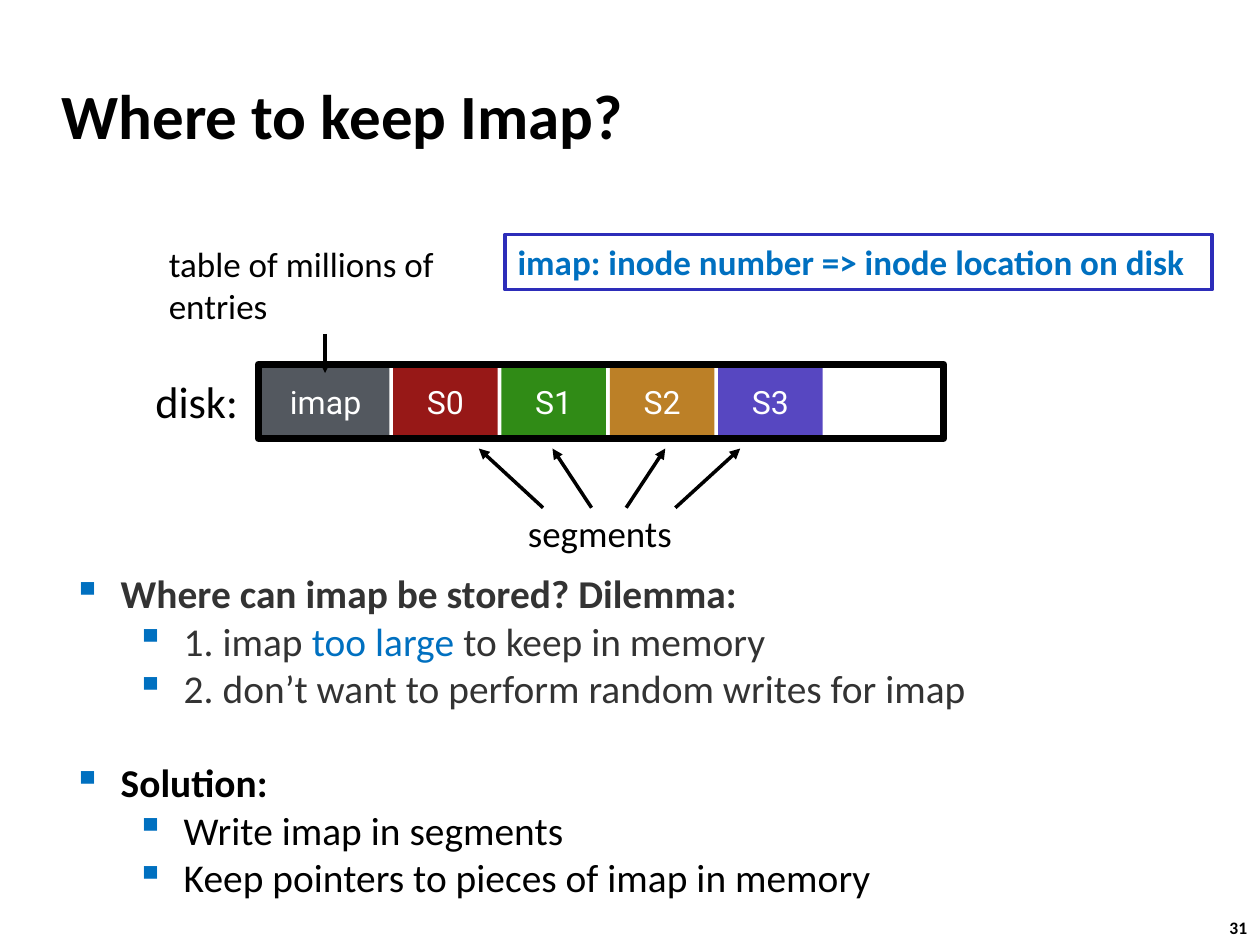
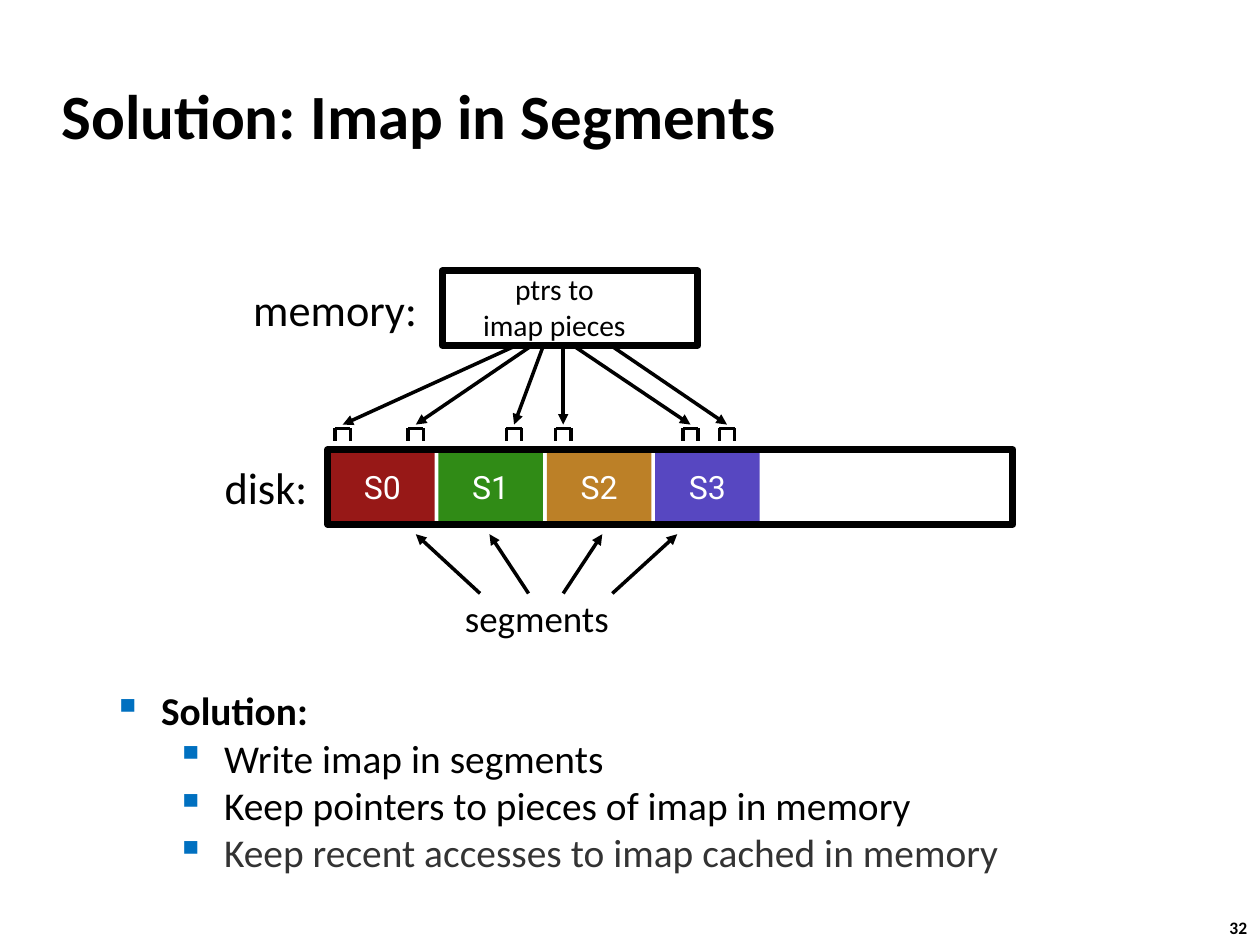
from lxml.etree import SubElement
from pptx import Presentation
from pptx.dml.color import RGBColor
from pptx.enum.shapes import MSO_CONNECTOR, MSO_SHAPE
from pptx.enum.text import MSO_ANCHOR, MSO_AUTO_SIZE, PP_ALIGN
from pptx.oxml.ns import qn
from pptx.util import Inches, Pt

rgb = RGBColor.from_string
BLACK, WHITE, GREY, BLUE, NAVY = "000000", "FFFFFF", "333333", "0070C0", "2D2DB9"
LEFT, CENTER, RIGHT = PP_ALIGN.LEFT, PP_ALIGN.CENTER, PP_ALIGN.RIGHT
TOP, MIDDLE = MSO_ANCHOR.TOP, MSO_ANCHOR.MIDDLE

deck = Presentation()
deck.slide_width, deck.slide_height = Inches(10), Inches(7.5)
# The grid has 100 columns and 75 rows of square cells
CELL = deck.slide_width // 100


def add_box(slide, at, paragraphs=(), size=18, font="Calibri", align=LEFT, anchor=MIDDLE,
            inset=0.4, wrap=False, fill=None, outline=None, weight=2):
    """Place a rectangle; each paragraph is a list of (text, colour, bold) runs."""
    place = [round(length * CELL) for length in at]
    if fill or outline:
        box = slide.shapes.add_shape(MSO_SHAPE.RECTANGLE, *place)
        box.shadow.inherit = False
        if fill:
            box.fill.solid()
            box.fill.fore_color.rgb = rgb(fill)
        else:
            box.fill.background()
        if outline:
            box.line.color.rgb = rgb(outline)
            box.line.width = Pt(weight)
        else:
            box.line.fill.background()
    else:
        box = slide.shapes.add_textbox(*place)
    frame = box.text_frame
    frame.word_wrap = wrap
    frame.auto_size = MSO_AUTO_SIZE.NONE if wrap else MSO_AUTO_SIZE.SHAPE_TO_FIT_TEXT
    frame.vertical_anchor = anchor
    frame.margin_left = frame.margin_right = round(inset * CELL)
    frame.margin_top = frame.margin_bottom = round(min(inset, 0.5) * CELL)
    for number, runs in enumerate(paragraphs):
        paragraph = frame.add_paragraph() if number else frame.paragraphs[0]
        paragraph.alignment = align
        for text, colour, bold in runs:
            run = paragraph.add_run()
            run.text = text
            run.font.name, run.font.size, run.font.bold = font, Pt(size), bold
            run.font.color.rgb = rgb(colour)
    return box


def add_line(slide, x1, y1, x2, y2, arrow=True):
    ends = [round(length * CELL) for length in (x1, y1, x2, y2)]
    line = slide.shapes.add_connector(MSO_CONNECTOR.STRAIGHT, *ends)
    line.line.color.rgb = rgb(BLACK)
    line.line.width = Pt(2)
    if arrow:
        SubElement(line.line._get_or_add_ln(), qn("a:tailEnd"), type="triangle")
    SubElement(line._element.spPr, qn("a:effectLst"))


# What differs: title, page, disk frame, first segment, outline place and items
solution = [
    (0, [("Solution:", BLACK, True)]),
    (1, [("Write imap in segments", BLACK, False)]),
    (1, [("Keep pointers to pieces of imap in memory", BLACK, False)]),
]
dilemma = [
    (0, [("Where can imap be stored? Dilemma:", GREY, True)]),
    (1, [("1. imap ", GREY, False), ("too large ", BLUE, False),
         ("to keep in memory", GREY, False)]),
    (1, [("2. don’t want to perform random writes for imap", GREY, False)]),
]
caching = [(1, [("Keep recent accesses to imap cached in memory", GREY, False)])]
pages = [
    ("Where to keep Imap?", "31", 20.5, 31.2, 28.9,
     (4.8, 44.7, 91.5, 27.5), dilemma + solution),
    ("Solution: Imap in Segments", "32", 26, 26.2, 35.7,
     (8, 54, 79.6, 16.2), solution + caching),
]
segments = [("S0", "971817"), ("S1", "308B16"), ("S2", "BC8027"), ("S3", "5747C1")]
SEGMENT_PITCH, SEGMENT_WIDTH, DISK_HEIGHT = 8.6, 8.3, 5.9
# Segment arrows: start and tip, counted from the first segment
segment_arrows = [(11.9, 6.8), (15.75, 12.65), (18.5, 21.6), (22.4, 27.55)]

slides = []
for title, page, disk_x, first_x, disk_y, outline_at, items in pages:
    slide = deck.slides.add_slide(deck.slide_layouts[6])
    slides.append(slide)

    # Title and page number
    add_box(slide, (3.9, 4.9, 83, 8.3), [[(title, BLACK, True)]], 36, inset=1, wrap=True)
    add_box(slide, (96.6, 72.3, 3.7, 2.7), [[(page, BLACK, True)]], 10, anchor=TOP, inset=1)

    # Disk with its segments
    for number, (name, colour) in enumerate(segments):
        add_box(slide, (first_x + number * SEGMENT_PITCH, disk_y, SEGMENT_WIDTH, DISK_HEIGHT),
                [[(name, WHITE, False)]], 18.3, "Roboto", CENTER, inset=0, wrap=True,
                fill=colour)
    if slide is slides[0]:
        add_box(slide, (20.8, disk_y, 10.1, DISK_HEIGHT), [[("imap", WHITE, False)]],
                18.3, "Roboto", CENTER, inset=0, wrap=True, fill="53585F")
    add_box(slide, (disk_x, disk_y, 54.4, DISK_HEIGHT), wrap=True, outline=BLACK, weight=4)
    add_box(slide, (disk_x - 8.8, disk_y + 0.4, 7.6, 5), [[("disk:", BLACK, False)]],
            25.3, align=RIGHT)

    # Segments label and arrows
    add_box(slide, (first_x + 10.3, disk_y + 11.2, 12.3, 4.3),
            [[("segments", BLACK, False)]], 21.1)
    for start, tip in segment_arrows:
        add_line(slide, first_x + start, disk_y + 11.4, first_x + tip, disk_y + 6.7)

    # Bulleted outline
    outline = add_box(slide, outline_at, [runs for level, runs in items], 22.5,
                      anchor=TOP, inset=1, wrap=True)
    for number, (level, runs) in enumerate(items):
        paragraph = outline.text_frame.paragraphs[number]
        paragraph.level = level
        properties = paragraph._p.get_or_add_pPr()
        properties.set("marL", str(Inches(0.38 + 0.5 * level)))
        properties.set("indent", str(-Inches(0.38)))
        bullet_colour = SubElement(properties, qn("a:buClr"))
        SubElement(bullet_colour, qn("a:srgbClr"), val=BLUE)
        SubElement(properties, qn("a:buChar"), char="▪")
        if number and level == 0:
            paragraph.space_before = Pt(27)

keep_slide, solution_slide = slides

# Imap note and definition
add_box(keep_slide, (13, 18.8, 22, 7.5),
        [[("table of millions of", BLACK, False)], [("entries", BLACK, False)]], 20)
add_line(keep_slide, 25.8, 26.5, 25.8, 29.6)
add_box(keep_slide, (40.1, 18.6, 56.1, 4.4),
        [[("imap: inode number => inode location on disk", BLUE, True)]], 20,
        anchor=TOP, inset=1, wrap=True, fill=WHITE, outline=NAVY)

# Memory with the pointers to imap pieces
add_box(solution_slide, (37.9, 21.1, 12.2, 6.5),
        [[("ptrs to", BLACK, False)], [("imap pieces", BLACK, False)]], 16.9, align=CENTER)
add_box(solution_slide, (19.6, 22, 13.9, 5), [[("memory:", BLACK, False)]], 25.3, align=RIGHT)
add_box(solution_slide, (35.1, 21.5, 20.3, 5.9), wrap=True, outline=BLACK, weight=4)

# Each pointer ends above the bracket of one imap piece
PIECE_WIDTH, PIECE_TOP, PIECE_FOOT = 1.2, 34, 35
pointers = [(40.8, 26.6), (42.1, 32.4), (43.1, 40.2), (44.7, 44.1), (45.6, 54.2), (48.6, 57.1)]
for start, piece_x in pointers:
    piece_end = piece_x + PIECE_WIDTH
    add_line(solution_slide, start, 27.5, piece_x + PIECE_WIDTH / 2, 33.7)
    add_line(solution_slide, piece_x, PIECE_TOP, piece_end, PIECE_TOP, arrow=False)
    for side in (piece_x, piece_end):
        add_line(solution_slide, side, PIECE_TOP, side, PIECE_FOOT, arrow=False)

deck.save("out.pptx")
